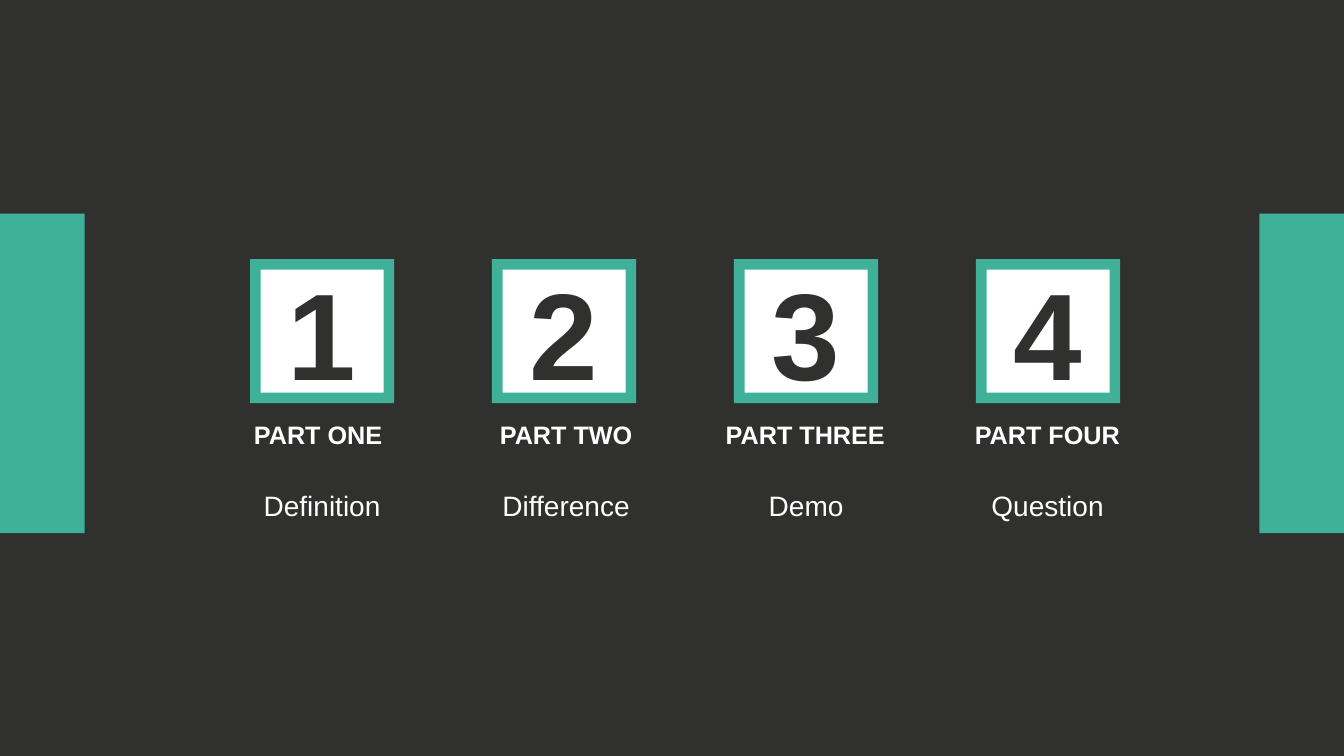
from pptx import Presentation
from pptx.dml.color import RGBColor
from pptx.enum.shapes import MSO_SHAPE as Shape
from pptx.enum.text import MSO_ANCHOR as Anchor, MSO_AUTO_SIZE as AutoSize, PP_ALIGN as Align
from pptx.util import Inches, Pt

DARK = RGBColor(0x30, 0x30, 0x2F)
GREEN = RGBColor(0x3E, 0xB1, 0x98)
WHITE = RGBColor(0xFF, 0xFF, 0xFF)
FONT = "Arial"

# label, left and width of its box; topic, left and width of its box
PARTS = [
    ("PART ONE", 2.42, 1.49, "Definition", 2.48, 1.43),
    ("PART TWO", 4.86, 1.53, "Difference", 4.88, 1.47),
    ("PART THREE", 7.1, 1.8, "Demo", 7.52, 0.95),
    ("PART FOUR", 9.57, 1.66, "Question", 9.73, 1.32),
]

SLIDE_W, SLIDE_H = 13.33, 7.5
BAND_W, BAND_H, BAND_TOP = 0.84, 3.17, 2.12
TILE_LEFT, TILE_TOP, TILE_STEP = 2.48, 2.57, 2.4
TILE_SIZE, INNER_SIZE = 1.43, 1.22
BORDER = (TILE_SIZE - INNER_SIZE) / 2
LABEL_TOP, LABEL_H = 4.11, 0.4
TOPIC_TOP, TOPIC_H = 4.8, 0.44


def add_rect(shapes, left, top, width, height, color):
    rect = shapes.add_shape(Shape.RECTANGLE, Inches(left), Inches(top),
                            Inches(width), Inches(height))
    rect.shadow.inherit = False
    rect.fill.solid()
    rect.fill.fore_color.rgb = color
    rect.line.fill.background()
    return rect


def write(box, text, size, color=WHITE, bold=False, align=Align.CENTER):
    para = box.text_frame.paragraphs[0]
    para.alignment = align
    span = para.add_run()
    span.text = text
    span.font.name = FONT
    span.font.size = Pt(size)
    span.font.bold = bold
    span.font.color.rgb = color


def add_text(shapes, left, top, width, height, text, size, **style):
    box = shapes.add_textbox(Inches(left), Inches(top), Inches(width), Inches(height))
    box.text_frame.word_wrap = False
    box.text_frame.auto_size = AutoSize.SHAPE_TO_FIT_TEXT
    write(box, text, size, **style)


def add_part(page, index, part):
    label, label_left, label_w, topic, topic_left, topic_w = part
    shapes = page.shapes.add_group_shape().shapes
    left = TILE_LEFT + index * TILE_STEP
    add_rect(shapes, left, TILE_TOP, TILE_SIZE, TILE_SIZE, GREEN)
    tile = add_rect(shapes, left + BORDER, TILE_TOP + BORDER,
                    INNER_SIZE, INNER_SIZE, WHITE)
    tile.text_frame.vertical_anchor = Anchor.MIDDLE
    write(tile, str(index + 1), 88, color=DARK, bold=True)
    add_text(shapes, label_left, LABEL_TOP, label_w, LABEL_H, label, 18,
             bold=True, align=Align.LEFT)
    add_text(shapes, topic_left, TOPIC_TOP, topic_w, TOPIC_H, topic, 20)


def main():
    deck = Presentation()
    deck.slide_width, deck.slide_height = Inches(SLIDE_W), Inches(SLIDE_H)
    page = deck.slides.add_slide(deck.slide_layouts[6])
    page.background.fill.solid()
    page.background.fill.fore_color.rgb = DARK
    for left in (0, SLIDE_W - BAND_W):
        add_rect(page.shapes, left, BAND_TOP, BAND_W, BAND_H, GREEN)
    for index, part in enumerate(PARTS):
        add_part(page, index, part)
    deck.save("out.pptx")


if __name__ == "__main__":
    main()
